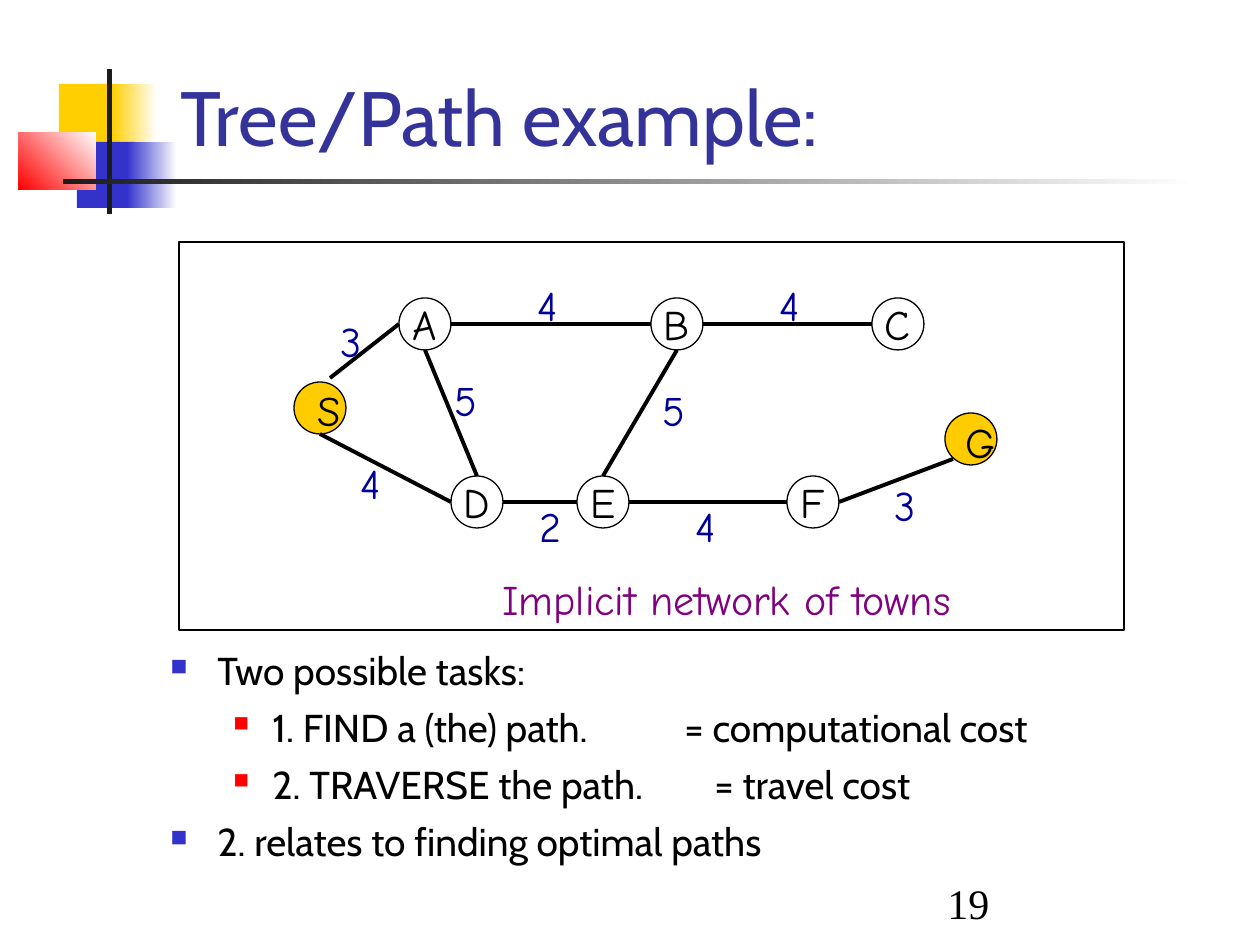
from dataclasses import dataclass

from lxml.etree import SubElement
from pptx import Presentation
from pptx.dml.color import RGBColor
from pptx.enum.shapes import MSO_CONNECTOR as Connector, MSO_SHAPE as Shape
from pptx.enum.text import MSO_ANCHOR as Anchor, MSO_AUTO_SIZE as AutoSize, PP_ALIGN as Align
from pptx.oxml.ns import qn
from pptx.util import Pt

EMU_PER_PX = 914400 / 126


@dataclass(frozen=True)
class Theme:
    heading_font: str = "Cabin"
    diagram_font: str = "Comic Neue"
    number_font: str = "Times New Roman"
    title_size: float = 44
    body_size: float = 22.2
    label_size: float = 24
    title: str = "333399"
    caption: str = "800080"
    weight: str = "000099"
    black: str = "000000"
    white: str = "FFFFFF"
    yellow: str = "FFCF01"
    blue: str = "3333CC"
    red: str = "FF0000"
    dark: str = "1C1C1C"
    endpoint: str = "FFCC00"


THEME = Theme()
NODE_SIZE = 52
NODES = {
    "A": (399, 298), "B": (651, 298), "C": (872, 298),
    "D": (451, 476), "E": (577, 476), "F": (787, 476),
    "S": (294, 382), "G": (945, 413),
}
ENDPOINT_LABELS = {"S": (305, 378), "G": (953, 410)}
SIDES = {"top": (0.5, 0), "left": (0, 0.5), "bottom": (0.5, 1), "right": (1, 0.5)}
# Each end is a (node, side) pair or a plain point.
EDGES = [
    ((330, 378), ("A", "left")),
    (("S", "bottom"), ("D", "left")),
    (("A", "right"), ("B", "left")),
    (("D", "right"), ("E", "left")),
    (("B", "right"), ("C", "left")),
    (("E", "right"), ("F", "left")),
    (("F", "right"), (953, 459)),
    (("A", "bottom"), ("D", "top")),
    (("E", "top"), ("B", "bottom")),
]
WEIGHTS = [
    ("3", 328, 309), ("4", 348, 451), ("4", 525, 273),
    ("4", 683, 494), ("5", 442, 368), ("5", 650, 378),
    ("4", 767, 273), ("3", 882, 473), ("2", 527, 494),
]
# Level, tab stop in px, text.
TASKS = [
    (0, None, "Two possible tasks:"),
    (1, 514, "1. FIND a (the) path.\t= computational cost"),
    (1, 544, "2. TRAVERSE the path.\t= travel cost"),
    (0, None, "2. relates to finding optimal paths"),
]
# Left margin px, hanging indent px, bullet colour, bullet size percent.
LEVELS = [(47, 47, THEME.blue, 60), (102, 39, THEME.red, 55)]


def px(*lengths):
    return [round(length * EMU_PER_PX) for length in lengths]


def color(value):
    return RGBColor.from_string(value)


def add_run(paragraph, text, font, size, value):
    run = paragraph.add_run()
    run.text = text
    run.font.name = font
    run.font.size = Pt(size)
    run.font.color.rgb = color(value)


def add_block(shapes, box, fill, outline=None, kind=Shape.RECTANGLE):
    shape = shapes.add_shape(kind, *px(*box))
    shape.shadow.inherit = False
    shape.fill.solid()
    shape.fill.fore_color.rgb = color(fill)
    if outline:
        shape.line.color.rgb = color(outline)
        shape.line.width = Pt(0.75)
    else:
        shape.line.fill.background()
    return shape


def add_fade(shapes, box, value, angle=180):
    """Add a block that fades from white into a colour."""
    fill = add_block(shapes, box, value).fill
    fill.gradient()
    fill.gradient_angle = angle
    for stop, stop_color in zip(fill.gradient_stops, (THEME.white, value)):
        stop.color.rgb = color(stop_color)


def add_label(shapes, box, text, value, font=THEME.diagram_font, anchor=Anchor.TOP):
    frame = shapes.add_textbox(*px(*box)).text_frame
    frame.word_wrap = False
    frame.vertical_anchor = anchor
    add_run(frame.paragraphs[0], text, font, THEME.label_size, value)


def add_node(shapes, name, position):
    is_endpoint = name in ENDPOINT_LABELS
    fill = THEME.endpoint if is_endpoint else THEME.white
    node = add_block(shapes, (*position, NODE_SIZE, NODE_SIZE), fill, THEME.black, Shape.OVAL)
    if is_endpoint:
        add_label(shapes, (*ENDPOINT_LABELS[name], 50, 63), name, THEME.black)
        return
    frame = node.text_frame
    frame.word_wrap = False
    frame.vertical_anchor = Anchor.MIDDLE
    paragraph = frame.paragraphs[0]
    paragraph.alignment = Align.CENTER
    add_run(paragraph, name, THEME.diagram_font, THEME.label_size, THEME.black)


def edge_point(end):
    if end[0] not in NODES:
        return end
    node, side = end
    return [start + NODE_SIZE * share for start, share in zip(NODES[node], SIDES[side])]


def add_edge(shapes, begin, end):
    ends = px(*edge_point(begin), *edge_point(end))
    line = shapes.add_connector(Connector.STRAIGHT, *ends)
    line.line.color.rgb = color(THEME.black)
    line.line.width = Pt(2.25)
    SubElement(line._element.spPr, qn("a:effectLst"))


def format_bullet(paragraph, level, tab):
    margin, hanging, value, percent = LEVELS[level]
    properties = paragraph._p.get_or_add_pPr()
    properties.set("marL", str(px(margin)[0]))
    properties.set("indent", str(px(-hanging)[0]))
    bullet_color = SubElement(properties, qn("a:buClr"))
    SubElement(bullet_color, qn("a:srgbClr"), val=value)
    SubElement(properties, qn("a:buSzPct"), val=str(percent * 1000))
    SubElement(properties, qn("a:buChar"), char="■")
    if tab:
        tabs = SubElement(properties, qn("a:tabLst"))
        SubElement(tabs, qn("a:tab"), pos=str(px(tab)[0]), algn="l")


def add_decoration(shapes):
    add_block(shapes, (59, 84, 60, 66), THEME.yellow)
    add_fade(shapes, (112, 84, 45, 66), THEME.yellow)
    add_block(shapes, (77, 142, 58, 66), THEME.blue)
    add_fade(shapes, (127, 142, 50, 66), THEME.blue)
    add_fade(shapes, (19, 132, 77, 58), THEME.red, 225)
    add_block(shapes, (107, 69, 5, 145), THEME.dark)
    add_fade(shapes, (63, 179, 1134, 5), THEME.dark)


def format_title(title):
    title.left, title.top, title.width, title.height = px(168, 10, 977, 158)
    frame = title.text_frame
    frame.auto_size = AutoSize.NONE
    frame.vertical_anchor = Anchor.BOTTOM
    paragraph = frame.paragraphs[0]
    paragraph.alignment = Align.LEFT
    add_run(paragraph, "Tree/Path example:", THEME.heading_font, THEME.title_size, THEME.title)


def add_network(shapes):
    add_block(shapes, (179, 242, 945, 388), THEME.white, THEME.black)
    add_label(shapes, (490, 567, 475, 63), "Implicit network of towns", THEME.caption)
    for name, position in NODES.items():
        add_node(shapes, name, position)
    for begin, end in EDGES:
        add_edge(shapes, begin, end)
    for text, left, top in WEIGHTS:
        add_label(shapes, (left, top, 46, 63), text, THEME.weight)


def add_tasks(shapes):
    frame = shapes.add_textbox(*px(158, 640, 1071, 223)).text_frame
    frame.word_wrap = True
    for index, (level, tab, text) in enumerate(TASKS):
        paragraph = frame.add_paragraph() if index else frame.paragraphs[0]
        format_bullet(paragraph, level, tab)
        paragraph.space_before = Pt(6 if index else 0)
        add_run(paragraph, text, THEME.heading_font, THEME.body_size, THEME.black)


def main():
    presentation = Presentation()
    presentation.slide_width, presentation.slide_height = px(1260, 945)
    slide = presentation.slides.add_slide(presentation.slide_layouts[5])
    add_decoration(slide.shapes)
    format_title(slide.shapes.title)
    add_network(slide.shapes.add_group_shape().shapes)
    add_tasks(slide.shapes)
    add_label(slide.shapes, (935, 871, 262, 63), "19", THEME.black, THEME.number_font, Anchor.BOTTOM)
    presentation.save("out.pptx")


if __name__ == "__main__":
    main()
